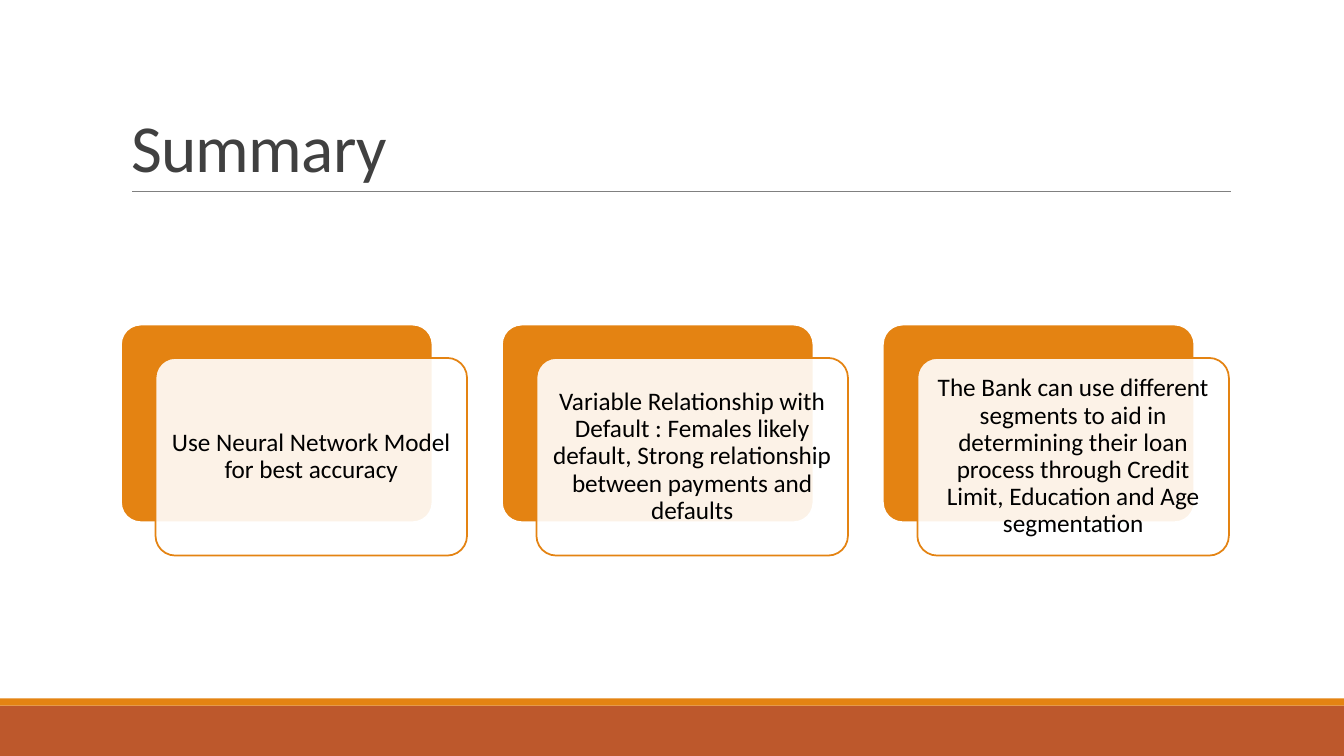
from lxml.etree import SubElement
from pptx import Presentation
from pptx.dml.color import RGBColor
from pptx.enum.shapes import MSO_CONNECTOR as Link, MSO_SHAPE as Kind
from pptx.enum.text import MSO_ANCHOR as Anchor, MSO_AUTO_SIZE as Fit, PP_ALIGN as Align
from pptx.oxml.ns import qn
from pptx.util import Cm, Pt

ORANGE, RUST, WHITE = "E48312", "BD582C", "FFFFFF"
NOTES = [
    "Use Neural Network Model for best accuracy",
    "Variable Relationship with Default : Females likely default, "
    "Strong relationship between payments and defaults",
    "The Bank can use different segments to aid in determining their loan "
    "process through Credit Limit, Education and Age segmentation",
]


def color(fmt, code):
    """Make a fill solid, or colour a font, from a hex string."""
    if hasattr(fmt, "solid"):
        fmt.solid()
        fmt = fmt.fore_color
    else:
        fmt = fmt.color
    fmt.rgb = RGBColor.from_string(code)


def block(kind, left, top, width, height, fill, edge=None):
    """Add a filled shape, placed in centimetres."""
    shape = slide.shapes.add_shape(kind, Cm(left), Cm(top), Cm(width), Cm(height))
    shape.shadow.inherit = False
    color(shape.fill, fill)
    if edge:
        color(shape.line.fill, edge)
        shape.line.width = Pt(1.25)
        shape.adjustments[0] = 0.1
    else:
        shape.line.fill.background()
    return shape


deck = Presentation()
deck.slide_width, deck.slide_height = Cm(33.87), Cm(19.05)
slide = deck.slides.add_slide(deck.slide_layouts[5])

# Footer bands and title rule
block(Kind.RECTANGLE, 0, 17.78, 33.87, 1.27, RUST)
block(Kind.RECTANGLE, 0, 17.6, 33.87, 0.18, ORANGE)
rule = slide.shapes.add_connector(Link.STRAIGHT, Cm(3.33), Cm(4.82), Cm(31.01), Cm(4.82))
color(rule.line.fill, "808080")
rule.line.width = Pt(0.5)
SubElement(rule.element.spPr, qn("a:effectLst"))

# Title
title = slide.shapes.title
title.left, title.top, title.width, title.height = Cm(3.05), Cm(0.79), Cm(27.94), Cm(4.04)
frame = title.text_frame
frame.text = "Summary"
frame.auto_size = Fit.NONE
frame.vertical_anchor = Anchor.BOTTOM
head = frame.paragraphs[0]
head.alignment = Align.LEFT
head.line_spacing = 0.85
head.font.size, head.font.name = Pt(48), "Calibri"
color(head.font, "404040")
head.runs[0].font._element.set("spc", "-50")

# Cards, each over an offset orange panel
for i, note in enumerate(NOTES):
    left = 3.05 + 9.6 * i
    block(Kind.ROUNDED_RECTANGLE, left, 8.18, 7.85, 4.98, ORANGE, WHITE)
    card = block(Kind.ROUNDED_RECTANGLE, left + 0.87, 9.02, 7.85, 4.98, WHITE, ORANGE)
    tint = card.fill._xPr.find(".//" + qn("a:srgbClr"))
    SubElement(tint, qn("a:alpha"), val="90000")
    frame = card.text_frame
    frame.text = note
    frame.word_wrap = True
    frame.vertical_anchor = Anchor.MIDDLE
    frame.margin_left = frame.margin_right = Cm(0.18)
    frame.margin_top = frame.margin_bottom = Cm(0.18)
    para = frame.paragraphs[0]
    para.alignment = Align.CENTER
    para.line_spacing = 0.9
    para.font.size, para.font.name = Pt(18), "Calibri"
    color(para.font, "000000")

deck.save("out.pptx")
